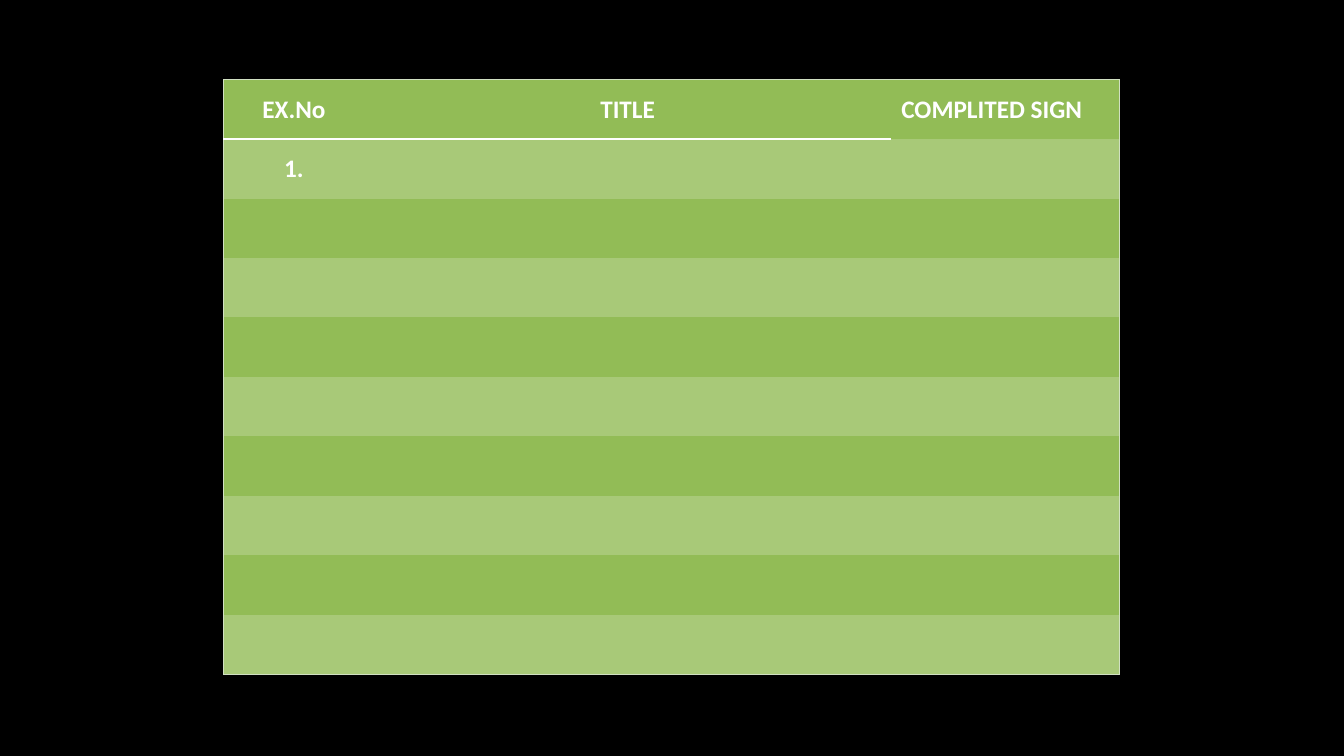
from lxml import etree
from pptx import Presentation
from pptx.dml.color import RGBColor
from pptx.enum.text import MSO_ANCHOR, PP_ALIGN
from pptx.oxml.ns import qn
from pptx.util import Inches, Pt

CENTER, LEFT = PP_ALIGN.CENTER, PP_ALIGN.LEFT
MIDDLE = MSO_ANCHOR.MIDDLE

BLACK, WHITE = "000000", "FFFFFF"
GREEN, LIGHT_GREEN = "92BC56", "A8C978"
OUTLINE = ("D1E0C2", 0.75)
HEADER_RULE = (WHITE, 2)

HEADINGS = ["EX.No", "TITLE", "COMPLITED SIGN"]
ALIGNMENTS = [CENTER, CENTER, LEFT]
COLUMN_WIDTHS = [1.39, 5.23, 2.26]
ROW_COUNT, ROW_HEIGHT = 10, 0.59
TEXT_FORMAT = {"name": "Calibri", "size": Pt(18), "bold": True}


def color(hex_string):
    return RGBColor.from_string(hex_string)


def set_background(slide, hex_string):
    fill = slide.background.fill
    fill.solid()
    fill.fore_color.rgb = color(hex_string)


def cell_edges(row, column):
    """Outline around the table, with a rule below the first two headings."""
    last_column = len(HEADINGS) - 1
    rule = HEADER_RULE if column < last_column else None
    return {
        "a:lnL": OUTLINE if column == 0 else None,
        "a:lnR": OUTLINE if column == last_column else None,
        "a:lnT": {0: OUTLINE, 1: rule}.get(row),
        "a:lnB": {0: rule, ROW_COUNT - 1: OUTLINE}.get(row),
    }


def set_edges(cell, edges):
    properties = cell._tc.get_or_add_tcPr()
    for tag, edge in edges.items():
        line = etree.SubElement(properties, qn(tag))
        if edge is None:
            etree.SubElement(line, qn("a:noFill"))
            continue
        hex_string, width = edge
        line.set("w", str(Pt(width)))
        fill = etree.SubElement(line, qn("a:solidFill"))
        etree.SubElement(fill, qn("a:srgbClr"), val=hex_string)


def fill_cell(cell, hex_string):
    cell.fill.solid()
    cell.fill.fore_color.rgb = color(hex_string)


def write_cell(cell, text, alignment):
    cell.vertical_anchor = MIDDLE
    paragraph = cell.text_frame.paragraphs[0]
    paragraph.alignment = alignment
    run = paragraph.add_run()
    run.text = text
    for attribute, value in TEXT_FORMAT.items():
        setattr(run.font, attribute, value)
    run.font.color.rgb = color(WHITE)


def add_exercise_table(slide):
    exercises = slide.shapes.add_table(
        ROW_COUNT, len(HEADINGS), Inches(2.22), Inches(0.79),
        Inches(sum(COLUMN_WIDTHS)), Inches(ROW_COUNT * ROW_HEIGHT)).table
    exercises.first_row = False
    exercises.horz_banding = False
    for column, width in zip(exercises.columns, COLUMN_WIDTHS):
        column.width = Inches(width)

    # Banded rows and borders
    for row_index, row in enumerate(exercises.rows):
        row.height = Inches(ROW_HEIGHT)
        for column_index, cell in enumerate(row.cells):
            set_edges(cell, cell_edges(row_index, column_index))
            fill_cell(cell, LIGHT_GREEN if row_index % 2 else GREEN)

    # Headings and first exercise number
    for index, (heading, alignment) in enumerate(zip(HEADINGS, ALIGNMENTS)):
        write_cell(exercises.cell(0, index), heading, alignment)
    write_cell(exercises.cell(1, 0), "1.", CENTER)


def main():
    presentation = Presentation()
    presentation.slide_width = Inches(13.33)
    presentation.slide_height = Inches(7.5)
    slide = presentation.slides.add_slide(presentation.slide_layouts[6])
    set_background(slide, BLACK)
    add_exercise_table(slide)
    presentation.save("out.pptx")


if __name__ == "__main__":
    main()
